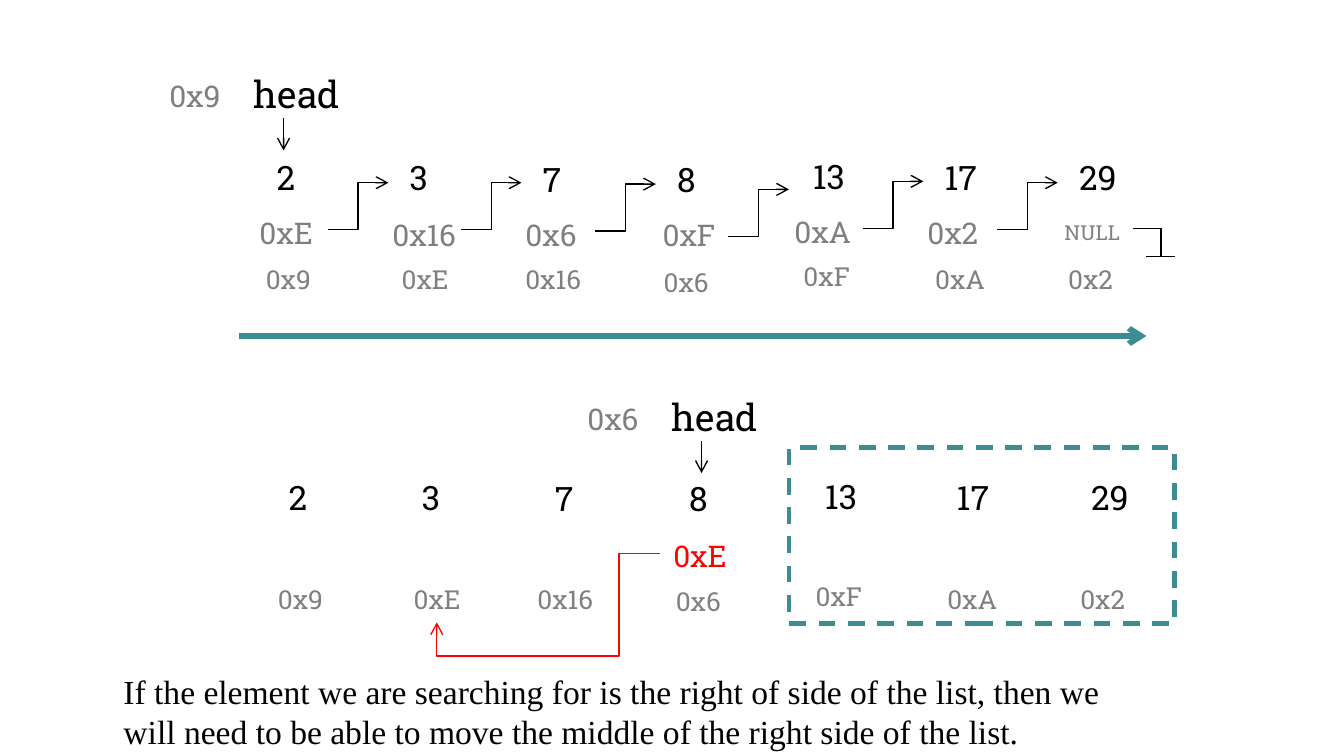
"""Linked list slide: the head moves to the middle node for a binary search."""
from lxml import etree
from pptx import Presentation
from pptx.dml.color import RGBColor
from pptx.enum.dml import MSO_LINE_DASH_STYLE as DASH
from pptx.enum.shapes import MSO_CONNECTOR as LINE, MSO_SHAPE as SHAPE
from pptx.enum.text import MSO_AUTO_SIZE as FIT
from pptx.oxml.ns import qn
from pptx.util import Inches, Pt

BLACK, GRAY, RED, TEAL = "000000", "7F7F7F", "FF0000", "3C8C93"
SLAB, SERIF = "Roboto Slab", "Times New Roman"
VALUES = [("2", 1.96, 1.12, 0.33), ("3", 2.95, 1.12, 0.33), ("7", 3.94, 1.13, 0.33),
          ("8", 4.94, 1.13, 0.33), ("13", 5.95, 1.11, 0.47), ("17", 6.93, 1.12, 0.49),
          ("29", 7.93, 1.12, 0.49)]
ADDRESSES = [("0x9", 1.88, 1.91, 0.54), ("0xE", 2.89, 1.91, 0.55), ("0x16", 3.81, 1.91, 0.62),
             ("0x6", 4.84, 1.93, 0.54), ("0xF", 5.88, 1.89, 0.55), ("0xA", 6.86, 1.91, 0.58),
             ("0x2", 7.85, 1.91, 0.54)]
POINTERS = [("0xE", 1.93, 1.55, 0.43), ("0x16", 2.92, 1.56, 0.51), ("0x6", 3.91, 1.56, 0.43),
            ("0xF", 4.93, 1.56, 0.43), ("0xA", 5.91, 1.54, 0.51), ("0x2", 6.9, 1.55, 0.43)]
LINKS = [(2.44, 1.71), (3.43, 1.71), (4.43, 1.72), (5.42, 1.76), (6.42, 1.7), (7.42, 1.71)]
LINK_W, LINK_H = 0.45, 0.35
GROUND = [(8.43, 1.7, 8.64, 1.7), (8.64, 1.7, 8.64, 1.91), (8.53, 1.91, 8.74, 1.91)]
HEADS = [("0x9", 1.26, 0.53), ("0x6", 4.37, 2.93)]
LISTS = [(0, 0), (0.09, 2.38)]
CAPTION = ("If the element we are searching for is the right of side of the list, then we "
           "will need to be able to move the middle of the right side of the list.")


def rgb(color):
    """Turn a hex string into a colour."""
    return RGBColor.from_string(color)


def add_text(s, text, x, y, w, h, size=18, color=BLACK, font=SLAB, side=0.1, wrap=True, grow=False):
    """Add a text box with one run."""
    tf = s.shapes.add_textbox(Inches(x), Inches(y), Inches(w), Inches(h)).text_frame
    tf.margin_left = tf.margin_right = Inches(side)
    tf.margin_top = tf.margin_bottom = Inches(0.05)
    tf.word_wrap = wrap
    tf.auto_size = FIT.SHAPE_TO_FIT_TEXT if grow else FIT.NONE
    r = tf.paragraphs[0].add_run()
    r.text = text
    r.font.size, r.font.name, r.font.color.rgb = Pt(size), font, rgb(color)


def add_pointer(s, text, x, y, w=0.43, size=16, color=GRAY):
    """Add a pointer value without side margins."""
    add_text(s, text, x, y, w, 0.32, size=size, color=color, side=0)


def add_line(parent, x1, y1, x2, y2, kind=LINE.STRAIGHT, color=BLACK, width=0.75, arrow=True):
    """Add a connector, with an arrowhead at its end if wanted."""
    c = parent.shapes.add_connector(kind, Inches(x1), Inches(y1), Inches(x2), Inches(y2))
    c.line.color.rgb, c.line.width = rgb(color), Pt(width)
    spPr = c._element.spPr
    if arrow:
        etree.SubElement(spPr.find(qn("a:ln")), qn("a:tailEnd"), type="arrow")
    etree.SubElement(spPr, qn("a:effectLst"))
    return c


def add_back_link(s):
    """Add the red link from the middle node back to the second node."""
    c = add_line(s, 3.25, 4.63, 4.91, 4.12, kind=LINE.ELBOW, color=RED)
    spPr = c._element.spPr
    spPr.find(qn("a:xfrm")).set("rot", "10800000")
    geom = spPr.find(qn("a:prstGeom"))
    geom.set("prst", "bentConnector4")
    guides = geom.find(qn("a:avLst"))
    for name, value in (("adj1", 18300), ("adj2", 149100)):
        etree.SubElement(guides, qn("a:gd"), name=name, fmla=f"val {value}")


def main():
    """Build and save the slide."""
    prs = Presentation()
    prs.slide_width, prs.slide_height = Inches(10), Inches(10 * 9 / 16)
    s = prs.slides.add_slide(prs.slide_layouts[6])

    add_line(s, 1.78, 2.5, 8.53, 2.5, color=TEAL, width=3)
    for dx, dy in LISTS:
        for text, x, y, w in VALUES:
            add_text(s, text, x + dx, y + dy, w, 0.48)
        for text, x, y, w in ADDRESSES:
            add_text(s, text, x + dx, y + dy, w, 0.34, size=14, color=GRAY, wrap=False, grow=True)
    for text, x, y in HEADS:
        add_pointer(s, text, x, y)
        add_text(s, "head", x + 0.53, y - 0.05, 1.02, 0.48, size=20)
        add_line(s, x + 0.85, y + 0.35, x + 0.85, y + 0.59)

    for text, x, y, w in POINTERS:
        add_pointer(s, text, x, y, w)
    add_pointer(s, "NULL", 7.92, 1.59, size=11)
    add_pointer(s, "0xE", 5.01, 3.95, color=RED)
    for x, y in LINKS:
        add_line(s, x, y, x + LINK_W, y - LINK_H, kind=LINE.ELBOW)
    ground = s.shapes.add_group_shape()
    for ends in GROUND:
        add_line(ground, *ends, arrow=False)
    add_back_link(s)

    box = s.shapes.add_shape(SHAPE.RECTANGLE, Inches(5.87), Inches(3.33), Inches(2.87), Inches(1.31))
    box.shadow.inherit = False
    box.fill.background()
    box.line.color.rgb, box.line.width = rgb(TEAL), Pt(2.25)
    box.line.dash_style = DASH.DASH
    add_text(s, CAPTION, 0.82, 4.94, 7.82, 0.71, font=SERIF, grow=True)

    prs.save("out.pptx")


if __name__ == "__main__":
    main()
